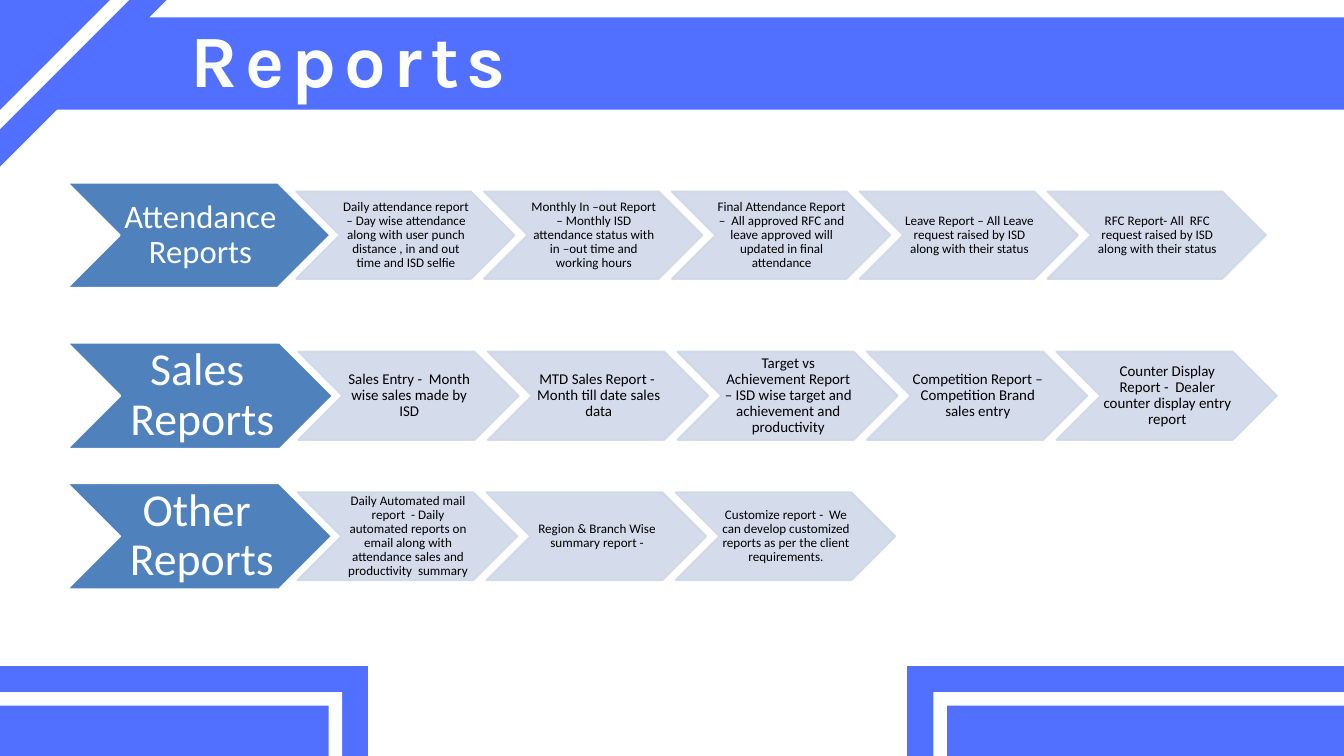
"""Build the Reports slide: a title banner above three rows of chevrons."""
from dataclasses import dataclass

import pptx
import pptx.dml.color
import pptx.dml.fill
import pptx.enum.shapes
import pptx.enum.text
import pptx.oxml
import pptx.oxml.ns
import pptx.shapes.autoshape
import pptx.slide
import pptx.text.text
import pptx.util

Inches = pptx.util.Inches
Pt = pptx.util.Pt
MSO_SHAPE = pptx.enum.shapes.MSO_SHAPE

WIDTH, HEIGHT = 20, 11.25
BLUE, WHITE, BLACK = "5270FF", "FFFFFF", "000000"
LEAD_BLUE, STEP_BLUE = "4F81BD", "D0D8E8"
ROW_LEFT = 1
STEP_PITCH = 0.86
LEAD_RATIO = 1.205
LEAD_PITCH = 0.87
CHEVRON_RATIO = 0.4


@dataclass(frozen=True)
class ReportRow:
    title: str
    title_size: int
    title_inset: float
    middle: float
    step_width: float
    step_size: int
    steps: tuple[str, ...]


@dataclass(frozen=True)
class Corner:
    edge: float
    inner: float
    direction: int


ROWS = (
    ReportRow("Attendance Reports", 35, 0.05, 3.5, 3.25, 14, (
        "Daily attendance report – Day wise attendance along with user punch "
        "distance , in and out time and ISD selfie",
        "Monthly In –out Report – Monthly ISD attendance status with "
        "in –out time and working hours",
        "Final Attendance Report –  All approved RFC and leave approved "
        "will updated in final attendance",
        "Leave Report – All Leave request raised by ISD along with their status",
        "RFC Report- All  RFC request raised by ISD along with their status",
    )),
    ReportRow("Sales  Reports", 49, 0.07, 5.89, 3.28, 16, (
        "Sales Entry -  Month wise sales made by ISD",
        "MTD Sales Report -  Month till date sales data",
        "Target vs Achievement Report – ISD wise target and achievement "
        "and productivity",
        "Competition Report – Competition Brand sales entry",
        "Counter Display Report -  Dealer counter display entry report",
    )),
    ReportRow("Other  Reports", 49, 0.07, 7.98, 3.27, 14, (
        "Daily Automated mail report  - Daily automated reports on email "
        "along with attendance sales and productivity  summary",
        "Region & Branch Wise summary report -",
        "Customize report -  We can develop customized reports as per "
        "the client requirements.",
    )),
)

CORNERS = (Corner(0, 5.48, -1), Corner(WIDTH, 13.5, 1))


def rgb(value: str) -> pptx.dml.color.RGBColor:
    return pptx.dml.color.RGBColor.from_string(value)


def paint(fill: pptx.dml.fill.FillFormat, color: str, opacity: int = 100) -> None:
    fill.solid()
    fill.fore_color.rgb = rgb(color)
    if opacity < 100:
        clr = fill._xPr.find(".//" + pptx.oxml.ns.qn("a:srgbClr"))
        alpha = pptx.oxml.parse_xml(
            f'<a:alpha {pptx.oxml.ns.nsdecls("a")} val="{opacity * 1000}"/>')
        clr.append(alpha)


def add_run(p: pptx.text.text._Paragraph, text: str, font: str, size: int,
            color: str) -> pptx.text.text._Run:
    r = p.add_run()
    r.text = text
    r.font.name = font
    r.font.size = Pt(size)
    r.font.color.rgb = rgb(color)
    return r


def add_outline(s: pptx.slide.Slide, points: list[tuple[float, float]],
                color: str) -> None:
    corners = [(Inches(x), Inches(y)) for x, y in points]
    builder = s.shapes.build_freeform(*corners[0])
    builder.add_line_segments(corners[1:], close=True)
    sp = builder.convert_to_shape()
    sp.shadow.inherit = False
    paint(sp.fill, color)
    sp.line.fill.background()


def add_banner(s: pptx.slide.Slide) -> None:
    add_outline(s, [(WIDTH, 0.26), (2.22, 0.26), (2.48, 0), (0, 0), (0, 2.48),
                    (0.85, 1.63), (WIDTH, 1.63)], BLUE)
    add_outline(s, [(0, 1.92), (0, 1.64), (1.64, 0), (1.92, 0)], WHITE)


def add_title(s: pptx.slide.Slide) -> None:
    sp = s.shapes.add_textbox(Inches(2.83), Inches(0.2), Inches(17.17), Inches(1.34))
    tf = sp.text_frame
    tf.word_wrap = True
    tf.auto_size = pptx.enum.text.MSO_AUTO_SIZE.SHAPE_TO_FIT_TEXT
    tf.margin_left = tf.margin_right = tf.margin_bottom = 0
    tf.margin_top = Inches(0.01)
    p = tf.paragraphs[0]
    p.space_before = Pt(1)
    r = add_run(p, "Reports", "Karla", 79, "FEFFFD")
    r.font.bold = True
    r.font._element.set("spc", "820")


def add_corner(s: pptx.slide.Slide, corner: Corner) -> None:
    top, inset, band = 9.91, 0.39, 0.2
    edge, inner = corner.edge, corner.inner
    add_outline(s, [(inner, top), (inner, HEIGHT), (edge, HEIGHT), (edge, top)], BLUE)
    outer_x = inner + corner.direction * inset
    inner_x = outer_x + corner.direction * band
    y = top + inset
    add_outline(s, [(outer_x, y), (edge, y), (edge, y + band), (inner_x, y + band),
                    (inner_x, HEIGHT), (outer_x, HEIGHT)], WHITE)


def add_chevron(s: pptx.slide.Slide, left: float, middle: float, width: float,
                text: str, size: int, inset: float, color: str, line_color: str,
                font_color: str, opacity: int = 100) -> None:
    height = width * CHEVRON_RATIO
    sp = s.shapes.add_shape(MSO_SHAPE.CHEVRON, Inches(left),
                            Inches(middle - height / 2), Inches(width), Inches(height))
    sp.shadow.inherit = False
    paint(sp.fill, color, opacity)
    paint(sp.line.fill, line_color, opacity)
    sp.line.width = Pt(2)
    tf = sp.text_frame
    tf.word_wrap = True
    tf.vertical_anchor = pptx.enum.text.MSO_ANCHOR.MIDDLE
    tf.margin_left, tf.margin_right = Inches(inset), 0
    tf.margin_top = tf.margin_bottom = Inches(inset / 2)
    p = tf.paragraphs[0]
    p.alignment = pptx.enum.text.PP_ALIGN.CENTER
    p.line_spacing = 0.9
    add_run(p, text, "Calibri", size, font_color)


def add_row(s: pptx.slide.Slide, row: ReportRow) -> None:
    lead_width = row.step_width * LEAD_RATIO
    add_chevron(s, ROW_LEFT, row.middle, lead_width, row.title, row.title_size,
                row.title_inset, LEAD_BLUE, WHITE, WHITE)
    first_left = ROW_LEFT + lead_width * LEAD_PITCH
    for i, text in enumerate(row.steps):
        left = first_left + i * row.step_width * STEP_PITCH
        add_chevron(s, left, row.middle, row.step_width, text, row.step_size, 0.02,
                    STEP_BLUE, STEP_BLUE, BLACK, opacity=90)


def main() -> None:
    prs = pptx.Presentation()
    prs.slide_width, prs.slide_height = Inches(WIDTH), Inches(HEIGHT)
    s = prs.slides.add_slide(prs.slide_layouts[6])
    add_banner(s)
    add_title(s)
    for corner in CORNERS:
        add_corner(s, corner)
    for row in ROWS:
        add_row(s, row)
    prs.save("out.pptx")


if __name__ == "__main__":
    main()
